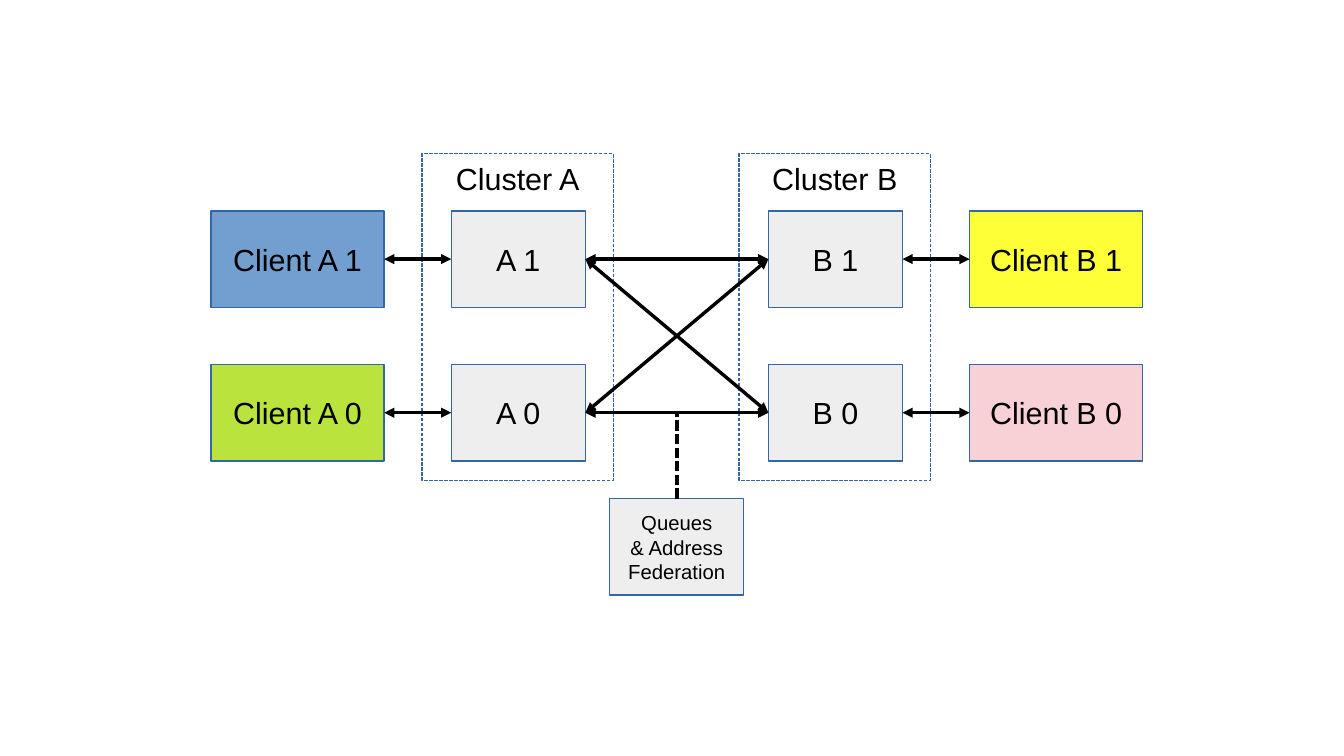
from lxml import etree
from pptx import Presentation
from pptx.dml.color import RGBColor
from pptx.enum.dml import MSO_LINE
from pptx.enum.shapes import MSO_CONNECTOR, MSO_SHAPE
from pptx.enum.text import MSO_ANCHOR, PP_ALIGN
from pptx.oxml.ns import qn
from pptx.util import Inches, Pt

RECT = MSO_SHAPE.RECTANGLE
LINE = MSO_CONNECTOR.STRAIGHT
DASH = MSO_LINE.SQUARE_DOT
TOP, MIDDLE = MSO_ANCHOR.TOP, MSO_ANCHOR.MIDDLE
CENTER = PP_ALIGN.CENTER

COLORS = {
    "node": "EEEEEE", "edge": "3465A4", "ink": "000000",
    "A 1": "729FCF", "A 0": "BBE33D", "B 1": "FFFF38", "B 0": "F7D1D5",
}
HIGH = 0.79
NODE_W, CLIENT_W = 1.1, 1.42
ROWS = {"1": 1.73, "0": 2.99}
# Left edges of node, cluster frame and client on each side
SIDES = {"A": (3.7, 3.46, 1.73), "B": (6.3, 6.06, 7.95)}


def color(name):
    return RGBColor.from_string(COLORS[name])


def add_box(slide, spot, lines, fill=None, size=18, anchor=MIDDLE):
    box = slide.shapes.add_shape(RECT, *map(Inches, spot))
    box.shadow.inherit = False
    if fill:
        box.fill.solid()
        box.fill.fore_color.rgb = color(fill)
    else:
        box.fill.background()
        box.line.dash_style = DASH
    box.line.color.rgb = color("edge")
    box.line.width = Pt(0)
    frame = box.text_frame
    frame.word_wrap = False
    frame.vertical_anchor = anchor
    for i, text in enumerate(lines):
        para = frame.paragraphs[0] if i == 0 else frame.add_paragraph()
        para.alignment = CENTER
        run = para.add_run()
        run.text = text
        run.font.size = Pt(size)
        run.font.name = "Arial"
        run.font.color.rgb = color("ink")


def add_line(slide, start, end, arrows=True):
    link = slide.shapes.add_connector(LINE, *map(Inches, (*start, *end)))
    link.line.color.rgb = color("ink")
    link.line.width = Pt(0)
    if arrows:
        for tag in ("a:headEnd", "a:tailEnd"):
            tip = etree.SubElement(link.line._get_or_add_ln(), qn(tag))
            tip.set("type", "triangle")
    else:
        link.line.dash_style = DASH
    etree.SubElement(link._element.spPr, qn("a:effectLst"))


def main():
    deck = Presentation()
    deck.slide_width, deck.slide_height = Inches(11.02), Inches(6.2)
    slide = deck.slides.add_slide(deck.slide_layouts[6])

    # Clusters with their nodes and clients
    for side, (node, frame, client) in SIDES.items():
        for row, top in ROWS.items():
            name = f"{side} {row}"
            add_box(slide, (node, top, NODE_W, HIGH), [name], "node")
            add_box(slide, (client, top, CLIENT_W, HIGH),
                    [f"Client {name}"], name)
        add_box(slide, (frame, 1.26, 1.57, 2.68), [f"Cluster {side}"],
                anchor=TOP)

    # Links from clients to nodes, and between all nodes
    left, right = SIDES["A"][0], SIDES["B"][0]
    mids = [top + HIGH / 2 for top in ROWS.values()]
    for mid in mids:
        add_line(slide, (SIDES["A"][2] + CLIENT_W, mid), (left, mid))
        add_line(slide, (right + NODE_W, mid), (SIDES["B"][2], mid))
        for other in mids:
            add_line(slide, (left + NODE_W, mid), (right, other))

    # Note on the link between the clusters
    add_box(slide, (5, 4.09, NODE_W, HIGH),
            ["Queues", "& Address", "Federation"], "node", 12)
    add_line(slide, (5.55, 4.09), (5.55, mids[-1]), arrows=False)

    deck.save("out.pptx")


main()
